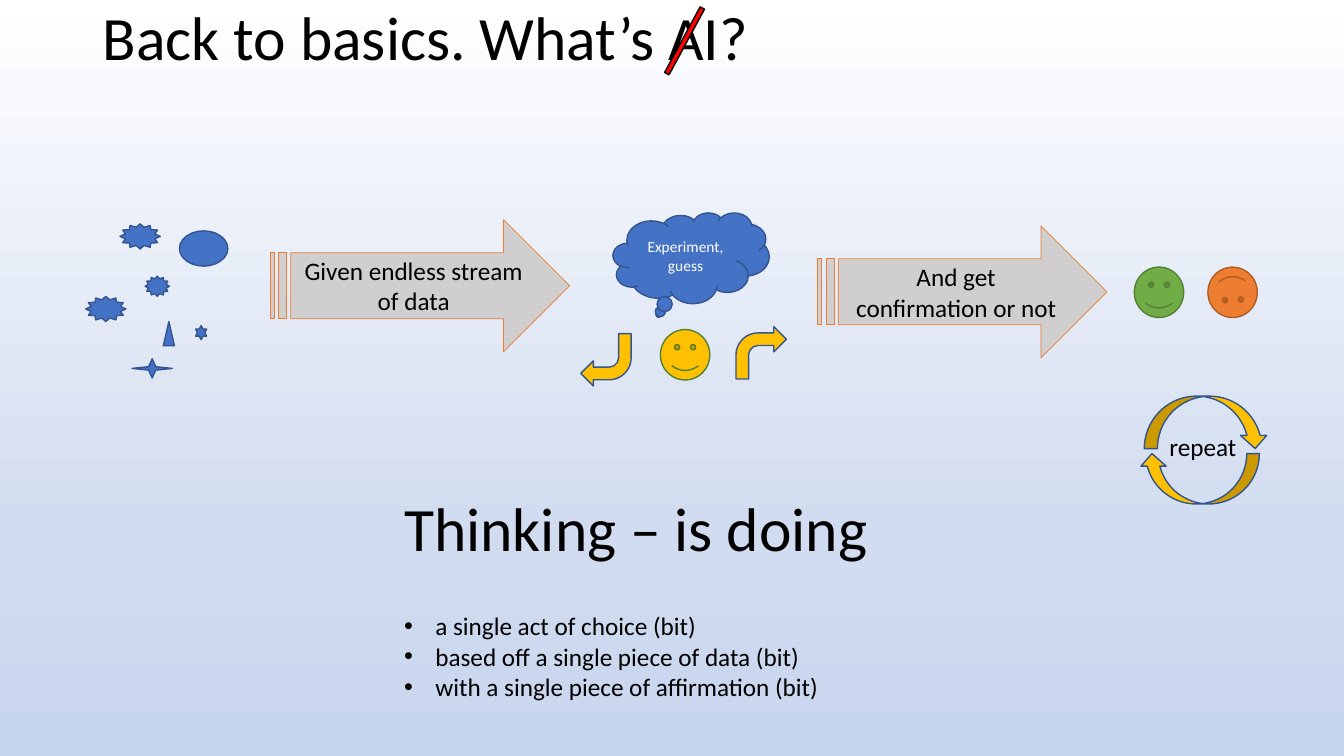
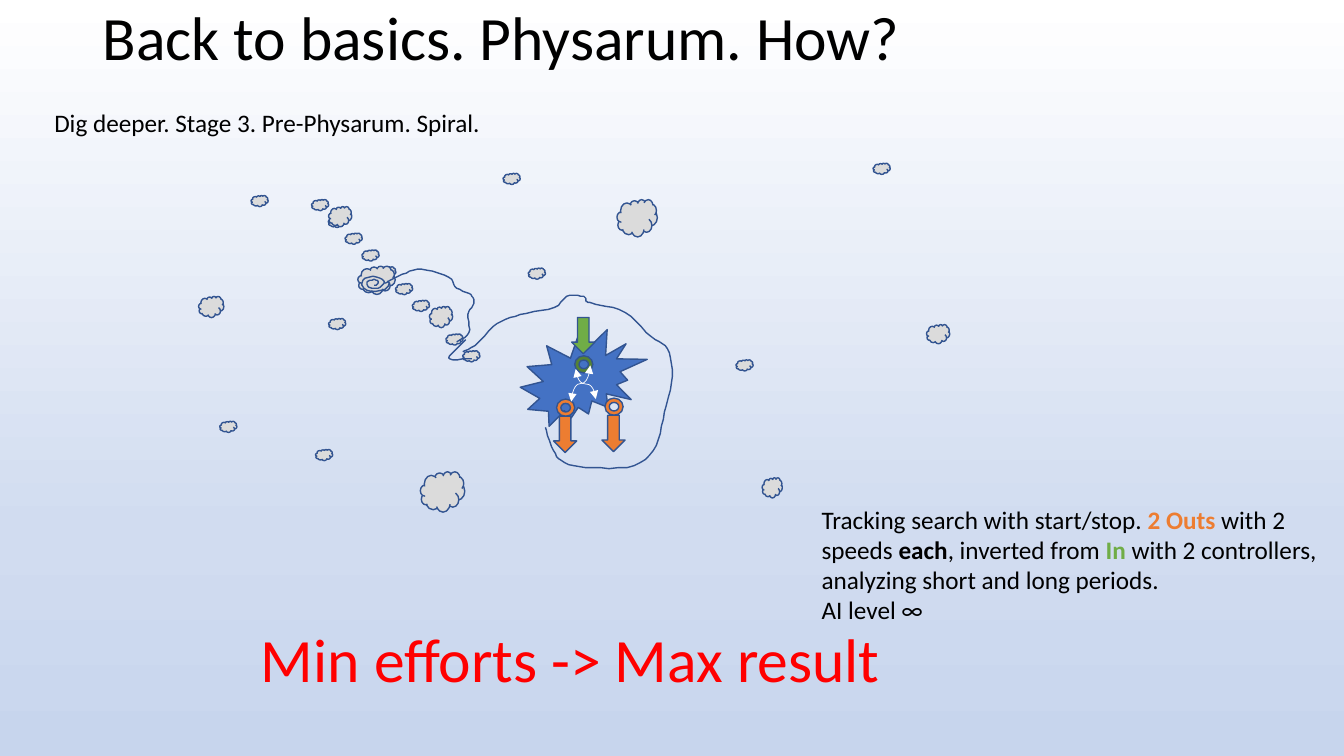
from copy import deepcopy
from math import cos, pi, sin

from pptx import Presentation
from pptx.dml.color import RGBColor
from pptx.enum.shapes import MSO_CONNECTOR, MSO_SHAPE as SHAPE
from pptx.enum.text import MSO_ANCHOR, PP_ALIGN
from pptx.oxml.ns import qn
from pptx.util import Inches, Pt

FONT = "Calibri"
BLACK, WHITE, RED = "000000", "FFFFFF", "FF0000"
BLUE, NAVY, GOLD = "4472C4", "325491", "FFC000"
GREEN, DARK_GREEN, MOSS = "70AD47", "538035", "548235"
ORANGE, RUST = "ED7D31", "AF5C24"
SILVER, CLOUD_GREY = "D0CECE", "DBDBDB"
BACKGROUND = [(0, WHITE), (0.7, "D1DCF0"), (1, "C7D5ED")]

# Bends of the trail in hundredths of an inch from its corner
TRAIL_BENDS = [
    [(191, 164), (199, 187), (210, 199), (238, 204), (279, 202), (301, 182),
     (309, 149), (317, 113), (312, 86), (296, 74), (270, 50), (241, 42),
     (231, 39)],
    [(231, 39), (229, 34), (212, 34), (200, 45), (166, 52), (143, 61),
     (124, 80), (109, 89)],
    [(118, 96), (96, 96), (102, 87), (112, 77)],
    [(103, 79), (115, 70), (114, 52), (120, 41), (117, 32), (103, 26),
     (95, 15), (68, 7), (49, 12), (32, 21)],
]


def color(value):
    return RGBColor.from_string(value)


def style_runs(paragraph, size, ink=BLACK):
    for run in paragraph.runs:
        run.font.size, run.font.name = Pt(size), FONT
        run.font.color.rgb = color(ink)


def outline(shape, ink, width):
    shape.line.color.rgb, shape.line.width = color(ink), Pt(width)


def add_figure(slide, preset, box, fill, line=NAVY, width=1, rotation=0):
    figure = slide.shapes.add_shape(preset, *map(Inches, box))
    figure.shadow.inherit = False
    figure.fill.solid()
    figure.fill.fore_color.rgb = color(fill)
    outline(figure, line, width)
    figure.rotation = rotation
    return figure


def label(figure, text, size, ink):
    frame = figure.text_frame
    frame.vertical_anchor = MSO_ANCHOR.MIDDLE
    frame.text = text
    frame.paragraphs[0].alignment = PP_ALIGN.CENTER
    style_runs(frame.paragraphs[0], size, ink)


def add_text(slide, box, text, size, ink=BLACK, wrap=True):
    frame = slide.shapes.add_textbox(*map(Inches, box)).text_frame
    frame.word_wrap = wrap
    frame.text = text
    for paragraph in frame.paragraphs:
        style_runs(paragraph, size, ink)
    return frame


def add_bullets(slide, box, items):
    frame = add_text(slide, box, "\n".join(items), 18, wrap=False)
    for paragraph in frame.paragraphs:
        props = paragraph._p.get_or_add_pPr()
        props.set("marL", str(Inches(0.31)))
        props.set("indent", str(-Inches(0.31)))
        font = props.makeelement(qn("a:buFont"), {"typeface": "Arial"})
        props.append(font)
        props.append(props.makeelement(qn("a:buChar"), {"char": "•"}))


def set_background(master):
    fill = master.background.fill
    fill.gradient()
    fill.gradient_angle = 270
    stops = master.element.find(".//" + qn("a:gsLst"))
    stops.append(deepcopy(stops[-1]))
    for stop, (position, tint) in zip(fill.gradient_stops, BACKGROUND):
        stop.position, stop.color.rgb = position, color(tint)


def add_titled_slide(prs, text):
    slide = prs.slides.add_slide(prs.slide_layouts[5])
    title = slide.shapes.title
    title.left, title.top = Inches(0.92), Inches(0)
    title.width, title.height = Inches(11.5), Inches(0.81)
    title.text_frame.text = text
    title.text_frame.vertical_anchor = MSO_ANCHOR.MIDDLE
    heading = title.text_frame.paragraphs[0]
    heading.alignment, heading.line_spacing = PP_ALIGN.LEFT, 0.9
    style_runs(heading, 44)
    return slide


def add_data_bits(slide, left, top):
    star = SHAPE.STAR_12_POINT
    for preset, x, y, w, h in [
        (star, 0.34, 0, 0.4, 0.25), (star, 0.59, 0.52, 0.24, 0.2),
        (star, 0, 0.72, 0.4, 0.25),
        (SHAPE.ISOSCELES_TRIANGLE, 0.77, 0.97, 0.11, 0.24),
        (SHAPE.STAR_4_POINT, 0.46, 1.34, 0.4, 0.19),
        (SHAPE.STAR_6_POINT, 1.09, 1.01, 0.11, 0.14),
    ]:
        add_figure(slide, preset, (left + x, top + y, w, h), BLUE)
    blob = add_figure(slide, star, (left + 0.93, top + 0.07, 0.48, 0.35), BLUE)
    blob.adjustments[0] = 0.5


def add_step_arrow(slide, box, text):
    arrow = add_figure(slide, SHAPE.STRIPED_RIGHT_ARROW, box, SILVER, ORANGE, 0.5)
    label(arrow, text, 18, BLACK)


def add_face(slide, left, top, fill, line, rotation=0):
    add_figure(slide, SHAPE.SMILEY_FACE, (left, top, 0.49, 0.5), fill, line,
               rotation=rotation)


def add_guess(slide, left, top):
    """Thought cloud over a face that may turn left or right."""
    thought = add_figure(slide, SHAPE.CLOUD_CALLOUT,
                         (left + 0.32, top, 1.55, 0.9), BLUE)
    label(thought, "Experiment,\vguess", 11, WHITE)
    for x, y, rotation in [(1.54, 1.13, 0), (0, 1.2, 180)]:
        add_figure(slide, SHAPE.BENT_ARROW, (left + x, top + y, 0.5, 0.52), GOLD,
                   rotation=rotation)
    add_face(slide, left + 0.79, top + 1.16, GOLD, DARK_GREEN)


def add_repeat_loop(slide, left, top):
    add_figure(slide, SHAPE.CURVED_DOWN_ARROW,
               (left + 0.05, top, 1.23, 0.52), GOLD)
    back = add_figure(slide, SHAPE.CURVED_UP_ARROW,
                      (left, top + 0.57, 1.19, 0.5), GOLD, rotation=180)
    back.element.spPr.find(qn("a:xfrm")).set("flipV", "1")
    add_text(slide, (left + 0.2, top + 0.3, 0.87, 0.4), "repeat", 18, wrap=False)


def add_signal(slide, box, rotation, flip=False):
    """Curved double-headed arrow, turned inside its box."""
    x, y, w, h = box
    signal = slide.shapes.add_connector(
        MSO_CONNECTOR.CURVE, *map(Inches, (x, y, x + w, y + h)))
    outline(signal, WHITE, 0.5)
    props = signal._element.spPr
    props.append(props.makeelement(qn("a:effectLst"), {}))
    line = props.find(qn("a:ln"))
    for end in ("a:headEnd", "a:tailEnd"):
        line.append(line.makeelement(qn(end), {"type": "triangle"}))
    frame = props.find(qn("a:xfrm"))
    frame.set("rot", str(rotation * 60000))
    if flip:
        frame.set("flipH", "1")


def add_organism(slide, left, top):
    add_figure(slide, SHAPE.EXPLOSION2, (left, top + 0.12, 1.26, 0.96), BLUE)
    for x, y, ring, arrow, arrow_shift in [
        (0.54, 0.38, MOSS, GREEN, -0.38),
        (0.36, 0.81, ORANGE, ORANGE, 0.17),
        (0.84, 0.8, ORANGE, ORANGE, 0.17),
    ]:
        x, y = left + x, top + y
        add_figure(slide, SHAPE.DONUT, (x, y, 0.18, 0.17), ring)
        add_figure(slide, SHAPE.DOWN_ARROW,
                   (x - 0.03, y + arrow_shift, 0.23, 0.36), arrow)
    add_signal(slide, (left + 0.5, top + 0.56, 0.3, 0.2), 270, flip=True)
    add_signal(slide, (left + 0.42, top + 0.56, 0.36, 0.19), 90)


def add_food(slide, left, top):
    """Scattered crumbs, a diagonal chain of crumbs and larger lumps."""
    scattered = [(0.52, 0.32), (5.33, 1.95), (1.29, 1.54), (3.02, 0.1),
                 (6.69, 0), (3.27, 1.04), (1.16, 2.84), (0.21, 2.56)]
    chain = [(1.12 + i / 6, 0.36 + i / 6) for i in range(10) if i != 7]
    crumbs = [(x, y, 0.17, 0.11) for x, y in scattered + chain]
    lumps = [(0, 1.32, 0.25, 0.21), (4.15, 0.36, 0.4, 0.37),
             (2.2, 3.06, 0.44, 0.4), (5.59, 3.12, 0.2, 0.2),
             (7.22, 1.6, 0.23, 0.19), (1.29, 0.43, 0.23, 0.2),
             (1.58, 1.02, 0.37, 0.28), (2.29, 1.42, 0.23, 0.21)]
    for x, y, w, h in crumbs + lumps:
        add_figure(slide, SHAPE.CLOUD, (left + x, top + y, w, h), CLOUD_GREY)


def smooth(bends, steps=5):
    """Catmull-Rom curve through all bends."""
    padded = [bends[0], *bends, bends[-1]]
    curve = [bends[0]]
    for corners in zip(padded, padded[1:], padded[2:], padded[3:]):
        for step in range(1, steps + 1):
            t = step / steps
            curve.append(tuple(
                b + t * (c - a + t * (2 * a - 5 * b + 4 * c - d
                                      + t * (3 * b - a - 3 * c + d))) / 2
                for a, b, c, d in zip(*corners)))
    return curve


def spiral(x, y, turns=2.25, steps=40):
    """Flat spiral that winds inwards around a centre."""
    curve = []
    for step in range(steps + 1):
        share = step / steps
        angle = 2 * pi * turns * share
        curve.append((x + (15 - 12 * share) * cos(angle),
                      y + (9 - 7 * share) * sin(angle)))
    return curve


def add_trail(slide, left, top):
    for start, *rest in [*map(smooth, TRAIL_BENDS), spiral(21, 21)]:
        builder = slide.shapes.build_freeform(*start, scale=Inches(0.01))
        builder.add_line_segments(rest, close=False)
        stroke = builder.convert_to_shape(Inches(left), Inches(top))
        stroke.shadow.inherit = False
        stroke.fill.background()
        outline(stroke, NAVY, 1)


def add_explanation(slide, box):
    frame = add_text(slide, box, "", 18)
    paragraph = frame.paragraphs[0]
    pieces = [
        ("Tracking search with start/stop. ", BLACK, False),
        ("2 Outs", ORANGE, True), (" with 2 speeds ", BLACK, False),
        ("each", BLACK, True), (", inverted from ", BLACK, False),
        ("In", GREEN, True),
        (" with 2 controllers, analyzing short and long periods.", BLACK, False),
        ("AI level ∞", BLACK, False),
    ]
    for text, ink, bold in pieces:
        if text.startswith("AI level"):
            paragraph.add_line_break()
        run = paragraph.add_run()
        run.text = text
        run.font.size, run.font.name, run.font.bold = Pt(18), FONT, bold
        run.font.color.rgb = color(ink)


def build_thinking_slide(prs):
    slide = add_titled_slide(prs, "Back to basics. What’s AI?")
    add_data_bits(slide, 0.85, 2.22)
    add_step_arrow(slide, (2.68, 2.18, 2.97, 1.31), "Given endless stream of data")
    add_guess(slide, 5.76, 2.11)
    add_step_arrow(slide, (8.11, 2.24, 2.87, 1.31), "And get confirmation or not")
    add_face(slide, 11.25, 2.65, GREEN, DARK_GREEN)
    add_face(slide, 11.98, 2.65, ORANGE, RUST, rotation=177.4)
    add_text(slide, (3.91, 4.81, 4.85, 0.84), "Thinking – is doing", 44, wrap=False)
    add_bullets(slide, (3.91, 6.01, 4.37, 1.01), [
        "a single act of choice (bit)",
        "based off a single piece of data (bit)",
        "with a single piece of affirmation (bit)"])
    add_figure(slide, SHAPE.RECTANGLE, (6.42, 0.38, 0.74, 0.05), RED, BLACK,
               rotation=298.4)
    add_repeat_loop(slide, 11.3, 3.93)


def build_physarum_slide(prs):
    slide = add_titled_slide(prs, "Back to basics. Physarum. How?")
    add_text(slide, (0.44, 1.02, 5.1, 0.4),
             "Dig deeper. Stage 3. Pre-Physarum. Spiral.", 18)
    add_text(slide, (2.49, 6.11, 6.6, 0.84), "Min efforts -> Max result", 44, RED)
    add_organism(slide, 5.16, 3.15)
    add_food(slide, 1.97, 1.62)
    add_explanation(slide, (8.05, 4.95, 5.28, 1.31))
    add_trail(slide, 3.5, 2.6)


def main():
    prs = Presentation()
    prs.slide_width, prs.slide_height = Inches(13.33), Inches(7.5)
    set_background(prs.slide_master)
    build_thinking_slide(prs)
    build_physarum_slide(prs)
    prs.save("out.pptx")


if __name__ == "__main__":
    main()
